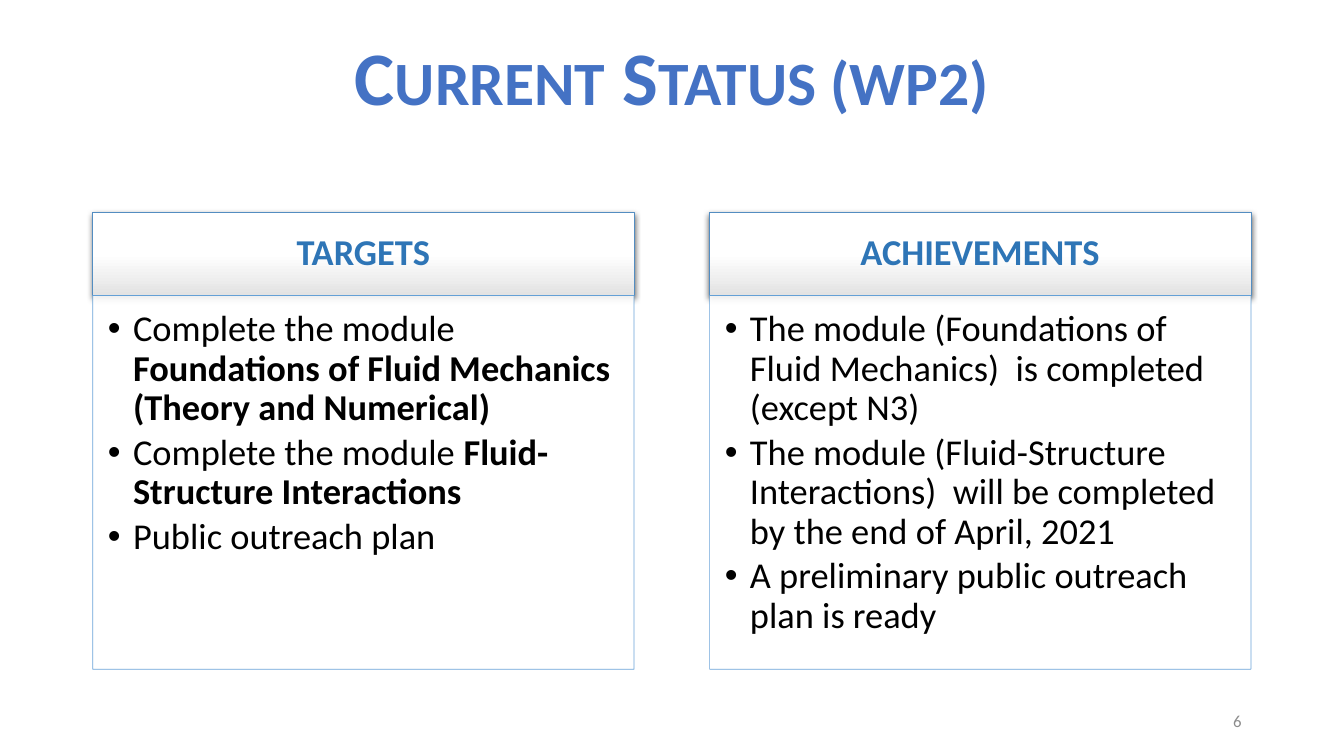
from pptx import Presentation
from pptx.dml.color import RGBColor
from pptx.enum.text import MSO_ANCHOR, MSO_AUTO_SIZE, PP_ALIGN
from pptx.oxml import parse_xml
from pptx.oxml.ns import nsdecls
from pptx.util import Pt

CENTER, RIGHT, LEFT = PP_ALIGN.CENTER, PP_ALIGN.RIGHT, PP_ALIGN.LEFT
MIDDLE, TOP = MSO_ANCHOR.MIDDLE, MSO_ANCHOR.TOP
NO_FIT = MSO_AUTO_SIZE.NONE

THEME = {
    "font": "Calibri",
    "title": RGBColor(0x44, 0x72, 0xC4),
    "heading": RGBColor(0x2E, 0x75, 0xB6),
    "text": RGBColor(0, 0, 0),
    "number": RGBColor(0x8C, 0x8C, 0x8C),
    "white": RGBColor(0xFF, 0xFF, 0xFF),
    "shade": RGBColor(0xE3, 0xE3, 0xE3),
    "heading_line": RGBColor(0x53, 0x8D, 0xC1),
    "body_line": RGBColor(0x5B, 0x9B, 0xD5),
    "cap_size": 54,
    "small_cap_size": 44,
    "text_size": 26,
    "number_size": 12,
}

COLUMNS = [
    ("TARGETS", [
        [("Complete the module ", False),
         ("Foundations of Fluid Mechanics (Theory and Numerical)", True)],
        [("Complete the module ", False), ("Fluid-Structure Interactions", True)],
        [("Public outreach plan", False)],
    ]),
    ("ACHIEVEMENTS", [
        [("The module (Foundations of Fluid Mechanics)  is completed (except N3)", False)],
        [("The module (Fluid-Structure Interactions)  will be completed "
          "by the end of April, 2021", False)],
        [("A preliminary public outreach plan is ready", False)],
    ]),
]
COL_LEFT, COL_STEP, COL_WIDTH = 66.24, 440.64, 386.64
HEAD_TOP, HEAD_HEIGHT, BODY_HEIGHT = 152, 59, 267


def place(sp, box, insets, anchor):
    sp.left, sp.top, sp.width, sp.height = [Pt(v) for v in box]
    tf = sp.text_frame
    tf.margin_left, tf.margin_top, tf.margin_right, tf.margin_bottom = [Pt(v) for v in insets]
    tf.vertical_anchor, tf.word_wrap, tf.auto_size = anchor, True, NO_FIT
    return tf


def write(p, runs, color, align, spacing=1.0, after=0):
    p.alignment, p.line_spacing = align, spacing
    p.space_before, p.space_after = Pt(0), Pt(after)
    for text, size, bold in runs:
        r = p.add_run()
        r.text = text
        r.font.name, r.font.size, r.font.bold = THEME["font"], Pt(size), bold
        r.font.color.rgb = color


prs = Presentation()
prs.slide_width, prs.slide_height = Pt(960), Pt(540)
s = prs.slides.add_slide(prs.slide_layouts[4])

tf = place(s.shapes.title, (66, 29, 828, 62), (7.2, 3.6, 7.2, 3.6), MIDDLE)
cap, small = THEME["cap_size"], THEME["small_cap_size"]
title_runs = [("C", cap, True), ("URRENT", small, True),
              (" S", cap, True), ("TATUS (WP2)", small, True)]
write(tf.paragraphs[0], title_runs, THEME["title"], CENTER, 0.8)

for i, (heading, items) in enumerate(COLUMNS):
    left = COL_LEFT + i * COL_STEP

    head = s.placeholders[1 + 2 * i]
    tf = place(head, (left, HEAD_TOP, COL_WIDTH, HEAD_HEIGHT), (14.4, 8.64, 14.4, 8.64), MIDDLE)
    write(tf.paragraphs[0], [(heading, THEME["text_size"], True)], THEME["heading"], CENTER, 0.9)
    head.fill.gradient()
    head.fill.gradient_angle = 270
    for stop, position, color in zip(head.fill.gradient_stops, (0.5, 1), ("white", "shade")):
        stop.position, stop.color.rgb = position, THEME[color]
    head.line.color.rgb, head.line.width = THEME["heading_line"], Pt(0.5)
    head.shadow.inherit = False
    head.element.xpath("./p:spPr/a:effectLst")[0].append(parse_xml(
        f'<a:outerShdw {nsdecls("a")} blurRad="{Pt(4.5)}" dist="{Pt(1.5)}" dir="5400000" '
        'algn="ctr" rotWithShape="0"><a:srgbClr val="000000"><a:alpha val="63000"/>'
        '</a:srgbClr></a:outerShdw>'))

    body = s.placeholders[2 + 2 * i]
    box = (left, HEAD_TOP + HEAD_HEIGHT, COL_WIDTH, BODY_HEIGHT)
    tf = place(body, box, (10.8, 10.8, 14.4, 16.2), TOP)
    body.fill.solid()
    body.fill.fore_color.rgb = THEME["white"]
    body.line.color.rgb, body.line.width = THEME["body_line"], Pt(0.5)
    for color in body.element.xpath("./p:spPr//a:srgbClr"):
        color.append(parse_xml(f'<a:alpha {nsdecls("a")} val="90000"/>'))
    for j, item in enumerate(items):
        p = tf.add_paragraph() if j else tf.paragraphs[0]
        runs = [(text, THEME["text_size"], bold) for text, bold in item]
        write(p, runs, THEME["text"], LEFT, 0.9, 4)
        pPr = p._p.get_or_add_pPr()
        pPr.set("marL", str(Pt(18)))
        pPr.set("indent", str(Pt(-18)))
        pPr.append(parse_xml(f'<a:buFont {nsdecls("a")} typeface="Arial"/>'))
        pPr.append(parse_xml(f'<a:buChar {nsdecls("a")} char="•"/>'))

number = s.shapes.add_textbox(Pt(678), Pt(500), Pt(216), Pt(29))
tf = place(number, (678, 500, 216, 29), (7.2, 3.6, 7.2, 3.6), MIDDLE)
write(tf.paragraphs[0], [("6", THEME["number_size"], False)], THEME["number"], RIGHT)

prs.save("out.pptx")
